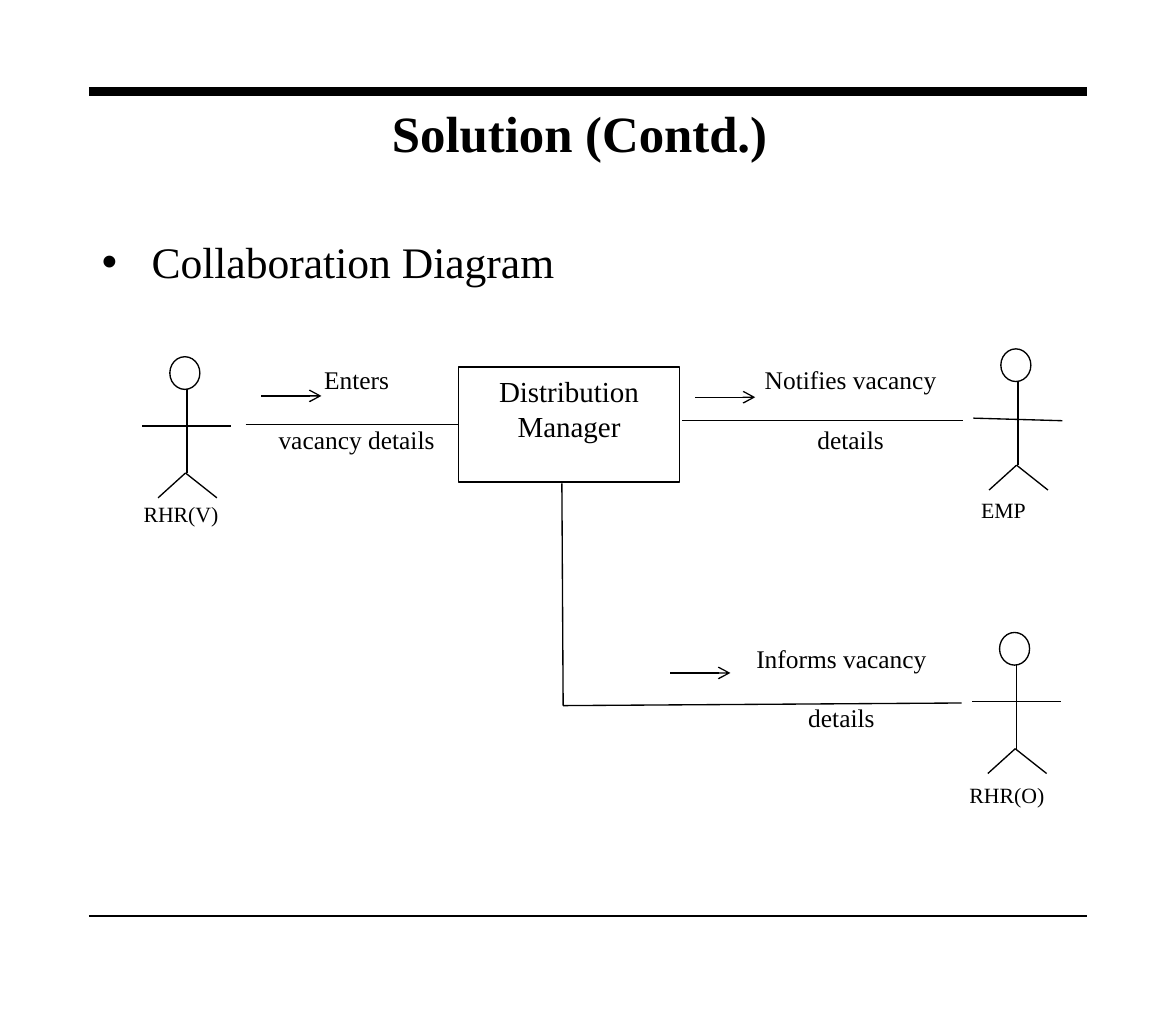
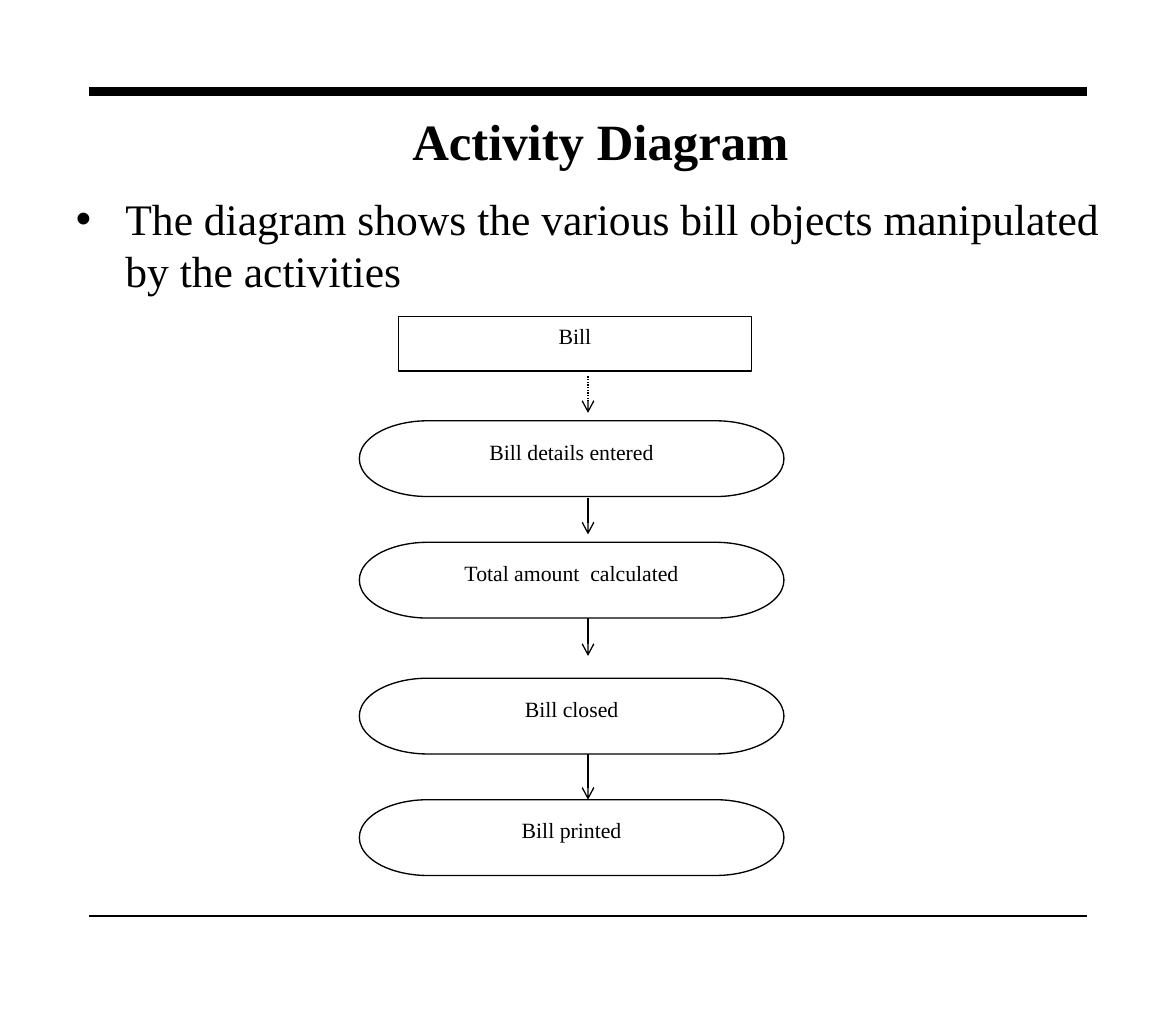
import pptx
import pptx.util
import pptx.dml.color
import pptx.enum.dml
import pptx.enum.shapes
import pptx.enum.text
import pptx.oxml.ns
import lxml.etree

PX = 9144  # EMU per px, at 100 px to the inch
SLIDE_SIZE = (900, 789)
FONT = "Times New Roman"
COLORS = {"ink": "000000", "paper": "FFFFFF"}
SHAPES = pptx.enum.shapes.MSO_SHAPE
ALIGN = pptx.enum.text.PP_ALIGN
ANCHOR = pptx.enum.text.MSO_ANCHOR
DOTTED = pptx.enum.dml.MSO_LINE.ROUND_DOT

TITLE = {"size": 28, "bold": True}
BULLET = {"size": 24}
BULLET_INDENT = 38
THIN = 0.75

# (start, end, width in points)
RULES = [((68, 70), (832, 70), 4.5), ((68, 701), (832, 701), 1)]

COLLABORATION = {
    "title": ("Solution (Contd.)", (279, 75, 329, 53)),
    "body": ("Collaboration Diagram", (68, 175, 765, 526)),
}
MANAGER = ("Distribution Manager", (351, 281, 169, 88))
# name, top left of head, box of name, drop of the right arm
ACTORS = [
    ("RHR(V)", (130, 273), (100, 378, 101, 48), 0),
    ("EMP", (766, 267), (741, 375, 109, 56), 2),
    ("RHR(O)", (765, 484), (732, 593, 101, 48), 0),
]
LINKS = [
    ((188, 325), (351, 325)),
    ((522, 322), (737, 322)),
    ((430, 370), (431, 540)),
    ((431, 540), (736, 538)),
]
# text above and below the link, box, start of arrow
MESSAGES = [
    (("Enters", "vacancy details"), (196, 274, 154, 116), (200, 303)),
    (("Notifies vacancy", "details"), (567, 274, 168, 101), (532, 304)),
    (("Informs vacancy", "details"), (560, 487, 168, 101), (513, 515)),
]
MESSAGE_ARROW = 46

ACTIVITY = {
    "title": ("Activity Diagram", (303, 80, 313, 54)),
    "body": ("The diagram shows the various bill objects manipulated by the activities",
             (48, 142, 835, 561)),
}
BILL = ("Bill", (305, 242, 270, 42))
# activity, top
ACTIVITIES = [
    ("Bill details entered", 322),
    ("Total amount  calculated", 415),
    ("Bill closed", 519),
    ("Bill printed", 612),
]
ACTIVITY_LEFT, ACTIVITY_WIDTH, ACTIVITY_HEIGHT = 275, 325, 58
FLOW_X = 450
# top, bottom, dash
FLOWS = [(288, 316, DOTTED), (381, 409, None), (473, 502, None), (577, 612, None)]


def emu(*lengths):
    return [pptx.util.Emu(length * PX) for length in lengths]


def color(name):
    return pptx.dml.color.RGBColor.from_string(COLORS[name])


def add_element(parent, tag, **attributes):
    name = pptx.oxml.ns.qn(tag)
    return lxml.etree.SubElement(parent, name, attributes)


def set_values(target, values):
    for name, value in values.items():
        setattr(target, name, value)


def write(shape, lines, size, bold=False, align=ALIGN.CENTER, anchor=ANCHOR.TOP, gap=0):
    """Fill a shape with paragraphs, gap points apart."""
    frame = shape.text_frame
    left, top = emu(10, 5)
    set_values(frame, {
        "word_wrap": True, "auto_size": pptx.enum.text.MSO_AUTO_SIZE.NONE,
        "vertical_anchor": anchor, "margin_left": left, "margin_right": left,
        "margin_top": top, "margin_bottom": top,
    })
    for index, line in enumerate(lines):
        para = frame.add_paragraph() if index else frame.paragraphs[0]
        span = para.add_run()
        span.text = line
        set_values(para, {"alignment": align,
                          "space_before": pptx.util.Pt(gap if index else 0)})
        set_values(span.font, {"name": FONT, "size": pptx.util.Pt(size), "bold": bold})
        span.font.color.rgb = color("ink")


def add_line(page, start, end, width=THIN, dash=None, arrow=False):
    line = page.shapes.add_connector(
        pptx.enum.shapes.MSO_CONNECTOR.STRAIGHT, *emu(*start, *end))
    line.line.color.rgb = color("ink")
    line.line.width = pptx.util.Pt(width)
    if dash:
        line.line.dash_style = dash
    properties = line.element.spPr
    if arrow:
        add_element(properties.find(pptx.oxml.ns.qn("a:ln")), "a:tailEnd", type="arrow")
    add_element(properties, "a:effectLst")
    return line


def add_outline(page, kind, box):
    shape = page.shapes.add_shape(kind, *emu(*box))
    shape.shadow.inherit = False
    shape.fill.solid()
    shape.fill.fore_color.rgb = color("paper")
    shape.line.color.rgb = color("ink")
    shape.line.width = pptx.util.Pt(THIN)
    return shape


def add_label(page, box, lines, size, **style):
    write(page.shapes.add_textbox(*emu(*box)), lines, size, **style)


def add_actor(page, name, head, name_box, drop):
    """Draw a stick figure with its name below."""
    x, y = head
    add_outline(page, SHAPES.FLOWCHART_CONNECTOR, (x, y, 23, 25))
    hip = (x + 12, y + 89)
    add_line(page, (x + 13, y + 25), (x + 13, y + 89))
    for foot in (x - 9, x + 36):
        add_line(page, hip, (foot, y + 108))
    add_line(page, (x - 21, y + 53), (x + 47, y + 53 + drop))
    add_label(page, name_box, [name], 12, align=ALIGN.LEFT)


def place(shape, box):
    set_values(shape, dict(zip(("left", "top", "width", "height"), emu(*box))))


def add_page(deck, content):
    page = deck.slides.add_slide(deck.slide_layouts[1])
    title, body = page.shapes.title, page.placeholders[1]
    text, box = content["title"]
    place(title, box)
    write(title, [text], anchor=ANCHOR.MIDDLE, **TITLE)
    text, box = content["body"]
    place(body, box)
    write(body, [text], align=ALIGN.LEFT, **BULLET)
    properties = body.text_frame.paragraphs[0]._p.get_or_add_pPr()
    indent = BULLET_INDENT * PX
    properties.set("marL", str(indent))
    properties.set("indent", str(-indent))
    bullet_color = add_element(properties, "a:buClr")
    add_element(bullet_color, "a:srgbClr", val=COLORS["ink"])
    add_element(properties, "a:buChar", char="•")
    return page


def add_rules_to_layout(page):
    for start, end, width in RULES:
        rule = add_line(page, start, end, width)
        page.slide_layout.shapes.element.append(rule.element)


def draw_collaboration(page):
    for start, end in LINKS:
        add_line(page, start, end)
    text, box = MANAGER
    write(add_outline(page, SHAPES.RECTANGLE, box), [text], 16)
    for actor in ACTORS:
        add_actor(page, *actor)
    for lines, box, (x, y) in MESSAGES:
        add_label(page, box, lines, 14, gap=16)
        add_line(page, (x, y), (x + MESSAGE_ARROW, y), arrow=True)


def draw_activity(page):
    text, box = BILL
    write(add_outline(page, SHAPES.RECTANGLE, box), [text], 12)
    for text, top in ACTIVITIES:
        box = (ACTIVITY_LEFT, top, ACTIVITY_WIDTH, ACTIVITY_HEIGHT)
        write(add_outline(page, SHAPES.FLOWCHART_TERMINATOR, box), [text], 12)
    for top, bottom, dash in FLOWS:
        add_line(page, (FLOW_X, top), (FLOW_X, bottom), dash=dash, arrow=True)


def main():
    deck = pptx.Presentation()
    deck.slide_width, deck.slide_height = emu(*SLIDE_SIZE)
    collaboration = add_page(deck, COLLABORATION)
    add_rules_to_layout(collaboration)
    draw_collaboration(collaboration)
    draw_activity(add_page(deck, ACTIVITY))
    deck.save("out.pptx")


if __name__ == "__main__":
    main()
